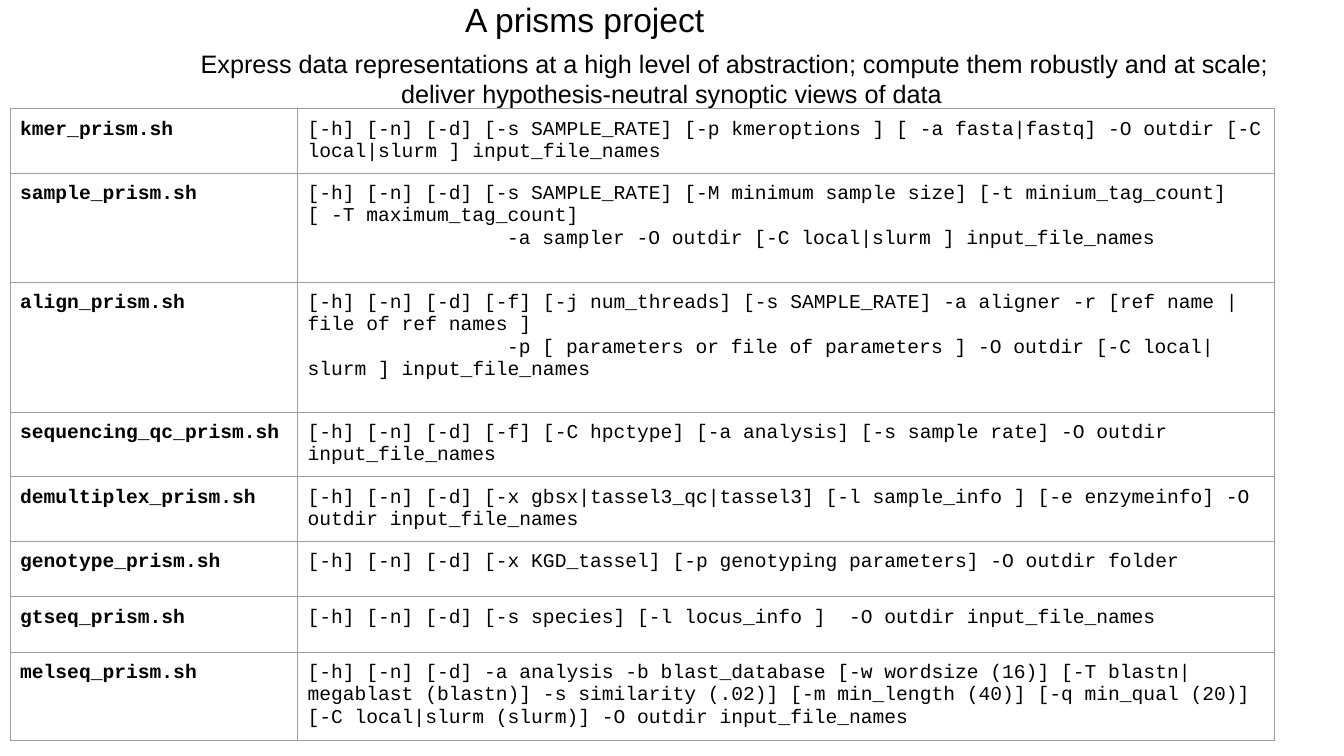
from lxml import etree
from pptx import Presentation
from pptx.dml.color import RGBColor
from pptx.enum.text import MSO_ANCHOR, MSO_AUTO_SIZE, PP_ALIGN
from pptx.oxml.ns import qn
from pptx.util import Inches, Pt

CENTER, LEFT = PP_ALIGN.CENTER, PP_ALIGN.LEFT
TOP = MSO_ANCHOR.TOP
NO_AUTOFIT = MSO_AUTO_SIZE.NONE

COLORS = {"text": "000000", "border": "9E9E9E"}
HEADING_FONT, CODE_FONT = "Arial", "Courier New"
COLUMN_WIDTHS = (2.85, 9.69)

PRISMS = [
    ("kmer_prism.sh", 0.64, [
        "[-h] [-n] [-d] [-s SAMPLE_RATE] [-p kmeroptions ] [ -a fasta|fastq] "
        "-O outdir [-C local|slurm ] input_file_names"]),
    ("sample_prism.sh", 1.08, [
        "[-h] [-n] [-d] [-s SAMPLE_RATE] [-M minimum sample size] "
        "[-t minium_tag_count] [ -T maximum_tag_count]",
        "-a sampler -O outdir [-C local|slurm ] input_file_names"]),
    ("align_prism.sh", 1.29, [
        "[-h] [-n] [-d] [-f] [-j num_threads] [-s SAMPLE_RATE] -a aligner "
        "-r [ref name | file of ref names ]",
        "-p [ parameters or file of parameters ] -O outdir [-C local|slurm ] "
        "input_file_names"]),
    ("sequencing_qc_prism.sh", 0.64, [
        "[-h] [-n] [-d] [-f] [-C hpctype] [-a analysis] [-s sample rate] "
        "-O outdir input_file_names"]),
    ("demultiplex_prism.sh", 0.64, [
        "[-h] [-n] [-d] [-x gbsx|tassel3_qc|tassel3] [-l sample_info ] "
        "[-e enzymeinfo] -O outdir input_file_names"]),
    ("genotype_prism.sh", 0.55, [
        "[-h] [-n] [-d] [-x KGD_tassel] [-p genotyping parameters] "
        "-O outdir folder"]),
    ("gtseq_prism.sh", 0.55, [
        "[-h] [-n] [-d] [-s species] [-l locus_info ]  -O outdir "
        "input_file_names"]),
    ("melseq_prism.sh", 0.87, [
        "[-h] [-n] [-d] -a analysis -b blast_database [-w wordsize (16)] "
        "[-T blastn|megablast (blastn)] -s similarity (.02)] "
        "[-m min_length (40)] [-q min_qual (20)] [-C local|slurm (slurm)] "
        "-O outdir input_file_names"]),
]


class PrismSlide:
    def __init__(self, deck):
        self.slide = deck.slides.add_slide(deck.slide_layouts[1])

    def format_paragraph(self, paragraph, font, size, bold=False, align=LEFT, indent=0):
        paragraph.alignment = align
        paragraph.line_spacing = 1.0
        paragraph.space_before = Pt(0)
        properties = paragraph._p.get_or_add_pPr()
        properties.set("marL", "0")
        properties.set("indent", str(Inches(indent)))
        etree.SubElement(properties, qn("a:buNone"))
        for run in paragraph.runs:
            run.font.name = font
            run.font.size = Pt(size)
            run.font.bold = bold
            run.font.color.rgb = RGBColor.from_string(COLORS["text"])

    def heading(self, placeholder, text, box, size, right_inset=0.13, indent=0):
        placeholder.left, placeholder.top, placeholder.width, placeholder.height = map(Inches, box)
        frame = placeholder.text_frame
        frame.text = text
        frame.word_wrap = True
        frame.auto_size = NO_AUTOFIT
        frame.vertical_anchor = TOP
        frame.margin_left = frame.margin_top = frame.margin_bottom = Inches(0.13)
        frame.margin_right = Inches(right_inset)
        self.format_paragraph(frame.paragraphs[0], HEADING_FONT, size, align=CENTER, indent=indent)

    def border(self, cell):
        properties = cell._tc.get_or_add_tcPr()
        for side in ("a:lnL", "a:lnR", "a:lnT", "a:lnB"):
            line = etree.SubElement(properties, qn(side), w=str(Pt(0.75)))
            fill = etree.SubElement(line, qn("a:solidFill"))
            etree.SubElement(fill, qn("a:srgbClr"), val=COLORS["border"])

    def cell(self, cell, lines, bold):
        self.border(cell)
        cell.fill.background()
        cell.vertical_anchor = TOP
        cell.margin_left = cell.margin_right = Inches(0.1)
        cell.margin_top = cell.margin_bottom = Inches(0.1)
        cell.text_frame.text = "\n".join(lines)
        for number, paragraph in enumerate(cell.text_frame.paragraphs):
            self.format_paragraph(paragraph, CODE_FONT, 14, bold, indent=1.98 * number)

    def usage_table(self, prisms, left, top):
        height = sum(row_height for _, row_height, _ in prisms)
        table = self.slide.shapes.add_table(
            len(prisms), len(COLUMN_WIDTHS), Inches(left), Inches(top),
            Inches(sum(COLUMN_WIDTHS)), Inches(height)).table
        table.first_row = False
        table.horz_banding = False
        for column, width in zip(table.columns, COLUMN_WIDTHS):
            column.width = Inches(width)
        for row, (script, row_height, usage) in zip(table.rows, prisms):
            row.height = Inches(row_height)
            self.cell(row.cells[0], [script], True)
            self.cell(row.cells[1], usage, False)


def main():
    deck = Presentation()
    deck.slide_width, deck.slide_height = Inches(13.33), Inches(7.5)
    page = PrismSlide(deck)
    title, summary = page.slide.placeholders
    page.heading(title, "A prisms project", (1.56, -0.14, 8.66, 0.61), 24, right_inset=0.31)
    page.heading(
        summary,
        "Express data representations at a high level of abstraction; compute them "
        "robustly and at scale; deliver hypothesis-neutral synoptic views of data",
        (0.45, 0.35, 12.42, 0.98), 18, indent=1.25)
    page.usage_table(PRISMS, 0.1, 1.08)
    deck.save("out.pptx")


if __name__ == "__main__":
    main()
